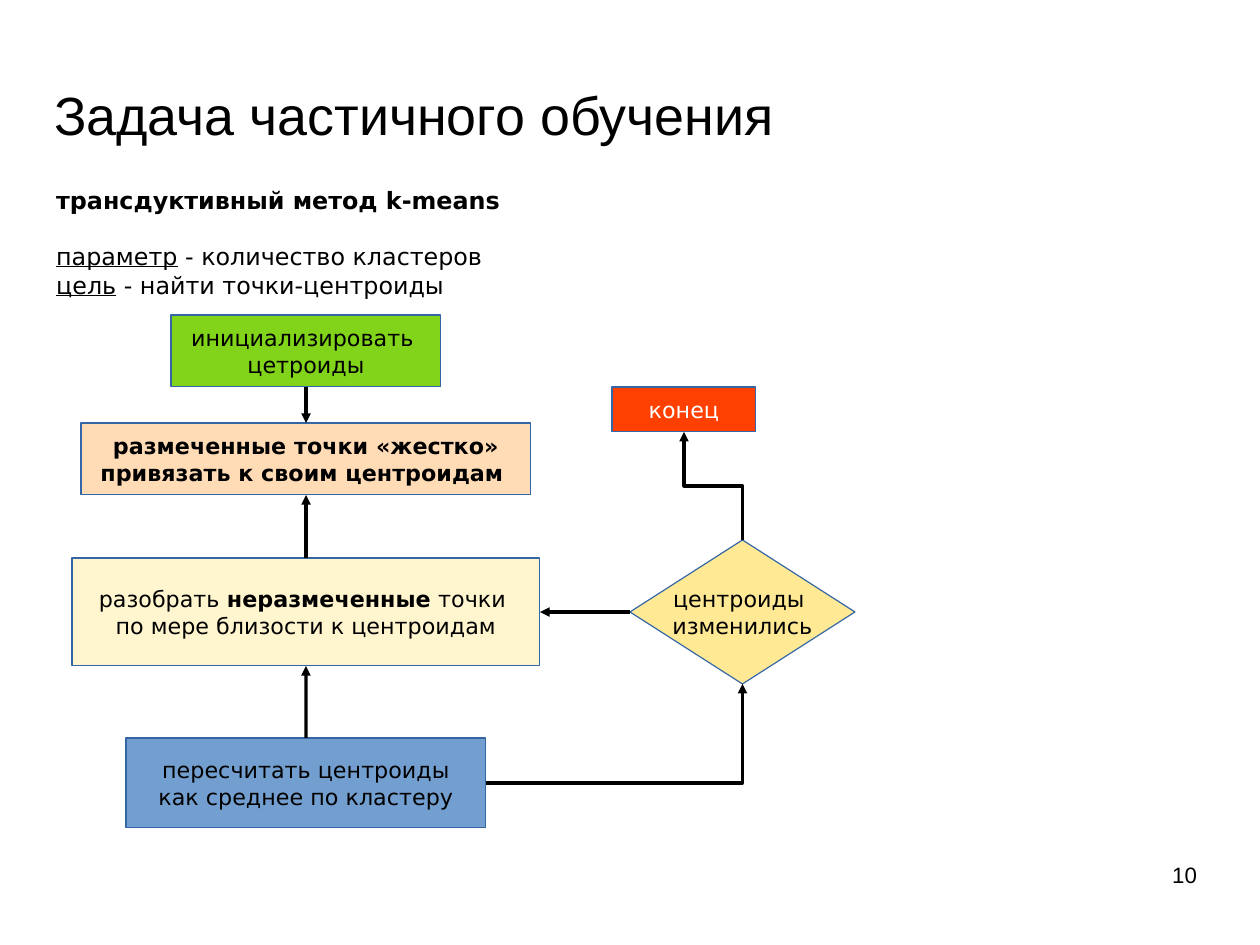
from lxml import etree
from pptx import Presentation
from pptx.dml.color import RGBColor
from pptx.enum import shapes as sh, text as tx
from pptx.oxml.ns import qn
from pptx.util import Cm, Pt

BLACK = RGBColor(0x00, 0x00, 0x00)
WHITE = RGBColor(0xFF, 0xFF, 0xFF)
EDGE = RGBColor(0x34, 0x65, 0xA4)
GREEN = RGBColor(0x81, 0xD4, 0x1A)
PEACH = RGBColor(0xFF, 0xDB, 0xB6)
CREAM = RGBColor(0xFF, 0xF5, 0xCE)
BLUE = RGBColor(0x72, 0x9F, 0xCF)
YELLOW = RGBColor(0xFF, 0xE9, 0x94)
RED = RGBColor(0xFF, 0x40, 0x00)
LEFT, MID, RIGHT = tx.PP_ALIGN.LEFT, tx.PP_ALIGN.CENTER, tx.PP_ALIGN.RIGHT
RECT, DIAMOND = sh.MSO_SHAPE.RECTANGLE, sh.MSO_SHAPE.DIAMOND
TOP, WEST, BOTTOM, EAST = range(4)


def write(shape, lines, size=14, font="DejaVu Sans", color=BLACK, align=LEFT,
          anchor=tx.MSO_ANCHOR.TOP, wrap=True, pad=(0.25, 0.13)):
    """Each line is a list of (text, style); style holds b for bold, u for underline."""
    frame = shape.text_frame
    frame.auto_size = tx.MSO_AUTO_SIZE.NONE
    frame.word_wrap, frame.vertical_anchor = wrap, anchor
    frame.margin_left = frame.margin_right = Cm(pad[0])
    frame.margin_top = frame.margin_bottom = Cm(pad[1])
    for i, line in enumerate(lines):
        para = frame.paragraphs[0] if i == 0 else frame.add_paragraph()
        para.alignment = align
        for words, style in line:
            run = para.add_run()
            run.text = words
            run.font.size, run.font.name = Pt(size), font
            run.font.color.rgb = color
            run.font.bold, run.font.underline = "b" in style, "u" in style


deck = Presentation()
deck.slide_width, deck.slide_height = Cm(28), Cm(21)
slide = deck.slides.add_slide(deck.slide_layouts[5])

# Title
title = slide.shapes.title
title.left, title.top, title.width, title.height = Cm(1.2), Cm(1.85), Cm(18), Cm(1.35)
write(title, [[("Задача частичного обучения", "")]], size=33.9, font="Arial",
      anchor=tx.MSO_ANCHOR.MIDDLE, pad=(0, 0))

# Method, parameter and goal
intro = slide.shapes.add_textbox(Cm(1), Cm(4), Cm(12.6), Cm(2.72))
write(intro, [
    [("трансдуктивный метод k-means", "b")],
    [("параметр", "u"), (" - количество кластеров", "")],
    [("цель", "u"), (" - найти точки-центроиды", "")],
], size=15)
intro.text_frame.paragraphs[1].space_before = Pt(17.5)

# Flowchart steps
steps = {
    "init": (RECT, 3.8, 7, 6, 1.6, GREEN, BLACK,
             [[("инициализировать ", "")], [("цетроиды", "")]]),
    "bind": (RECT, 1.8, 9.4, 10, 1.6, PEACH, BLACK,
             [[("размеченные точки «жестко»", "b")],
              [("привязать к своим центроидам ", "b")]]),
    "sort": (RECT, 1.6, 12.4, 10.4, 2.4, CREAM, BLACK,
             [[("разобрать ", ""), ("неразмеченные", "b"), (" точки ", "")],
              [("по мере близости к центроидам", "")]]),
    "mean": (RECT, 2.8, 16.4, 8, 2, BLUE, BLACK,
             [[("пересчитать центроиды", "")], [("как среднее по кластеру", "")]]),
    "test": (DIAMOND, 14, 12, 5, 3.2, YELLOW, BLACK,
             [[("центроиды ", "")], [("изменились", "")]]),
    "end": (RECT, 13.6, 8.6, 3.2, 1, RED, WHITE, [[("конец", "")]]),
}
nodes = {}
for name, (kind, x, y, w, h, fill, ink, lines) in steps.items():
    node = slide.shapes.add_shape(kind, Cm(x), Cm(y), Cm(w), Cm(h))
    node.shadow.inherit = False
    node.fill.solid()
    node.fill.fore_color.rgb = fill
    node.line.color.rgb, node.line.width = EDGE, Pt(0)
    write(node, lines, color=ink, align=MID, anchor=tx.MSO_ANCHOR.MIDDLE, wrap=False)
    nodes[name] = node

# Arrows between steps
links = [
    ("init", BOTTOM, "bind", TOP, "line"),
    ("sort", TOP, "bind", BOTTOM, "line"),
    ("mean", TOP, "sort", BOTTOM, "line"),
    ("test", WEST, "sort", EAST, "line"),
    ("mean", EAST, "test", BOTTOM, "bentConnector2"),
    ("test", TOP, "end", BOTTOM, "bentConnector3"),
]
for start, out, goal, into, form in links:
    kind = sh.MSO_CONNECTOR.STRAIGHT if form == "line" else sh.MSO_CONNECTOR.ELBOW
    link = slide.shapes.add_connector(kind, 0, 0, 0, 0)
    link.begin_connect(nodes[start], out)
    link.end_connect(nodes[goal], into)
    link.line.color.rgb, link.line.width = BLACK, Pt(0)
    props = link._element.spPr
    props.find(qn("a:prstGeom")).set("prst", form)
    etree.SubElement(props.find(qn("a:ln")), qn("a:tailEnd"), type="triangle")
    etree.SubElement(props, qn("a:effectLst"))
    if form == "bentConnector3":
        # Turn a quarter so that the path leaves the diamond upwards
        link.begin_x, link.begin_y = Cm(14.65), Cm(11.45)
        link.end_x, link.end_y = Cm(17.05), Cm(10.15)
        props.find(qn("a:xfrm")).set("rot", str(270 * 60000))

# Page number
page = slide.shapes.add_textbox(Cm(20.07), Cm(19.13), Cm(6.53), Cm(1.45))
write(page, [[("10", "")]], font="Arial", align=RIGHT, pad=(0, 0))

deck.save("out.pptx")
